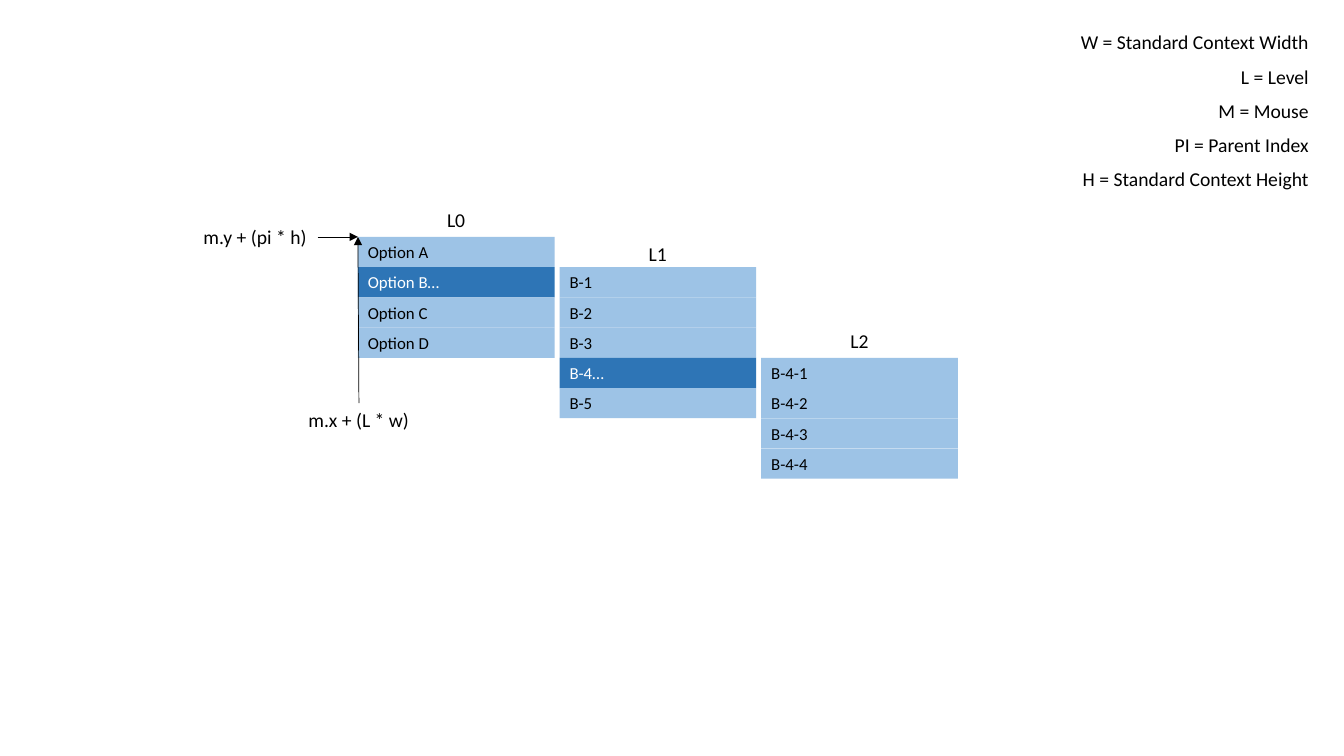
from lxml.etree import SubElement
from pptx import Presentation
from pptx.dml.color import RGBColor
from pptx.enum.shapes import MSO_CONNECTOR as Connector, MSO_SHAPE as Preset
from pptx.enum.text import MSO_ANCHOR as Anchor, MSO_AUTO_SIZE as AutoSize, PP_ALIGN as Align
from pptx.oxml.ns import qn
from pptx.util import Inches, Pt

COLORS = {"option": "9DC3E6", "selected": "2E75B6", "dark": "000000", "light": "FFFFFF"}
FONT = "Calibri"

# Menu grid, in inches
MENU_LEFT, MENU_TOP = 3.55, 2.35
ITEM_WIDTH, ITEM_HEIGHT = 1.95, 0.3
COLUMN_STEP = 2.0
LABEL_HEIGHT = 0.34

# Level name, first row, lift of the name above the menu, selected item, items
MENUS = [
    ("L0", 0, 0.34, 1, ["Option A", "Option B…", "Option C", "Option D"]),
    ("L1", 1, 0.3, 3, ["B-1", "B-2", "B-3", "B-4…", "B-5"]),
    ("L2", 4, 0.34, None, ["B-4-1", "B-4-2", "B-4-3", "B-4-4"]),
]

# Legend entry and width of its box
LEGEND = [
    ("W = Standard Context Width", 2.49),
    ("L = Level", 0.88),
    ("M = Mouse", 1.11),
    ("PI = Parent Index", 1.54),
    ("H = Standard Context Height", 2.47),
]


def rgb(name):
    return RGBColor.from_string(COLORS[name])


def write(shape, text, size, color="dark", align=Align.LEFT):
    shape.text_frame.text = text
    paragraph = shape.text_frame.paragraphs[0]
    paragraph.alignment = align
    font = paragraph.runs[0].font
    font.name, font.size = FONT, Pt(size)
    font.color.rgb = rgb(color)


def add_label(slide, text, left, top, width, align=Align.LEFT):
    box = slide.shapes.add_textbox(*map(Inches, (left, top, width, LABEL_HEIGHT)))
    box.text_frame.word_wrap = False
    box.text_frame.auto_size = AutoSize.SHAPE_TO_FIT_TEXT
    write(box, text, 14, align=align)


def add_arrow(slide, start, end):
    arrow = slide.shapes.add_connector(Connector.STRAIGHT, *map(Inches, (*start, *end)))
    arrow.line.color.rgb = rgb("dark")
    arrow.line.width = Pt(0.5)
    properties = arrow.element.spPr
    SubElement(properties.find(qn("a:ln")), qn("a:tailEnd"), type="triangle")
    SubElement(properties, qn("a:effectLst"))


def add_menu(slide, left, top, name, lift, selected, items):
    # Menu items
    for row, text in enumerate(items):
        item = slide.shapes.add_shape(
            Preset.RECTANGLE,
            *map(Inches, (left, top + row * ITEM_HEIGHT, ITEM_WIDTH, ITEM_HEIGHT)))
        item.shadow.inherit = False
        item.fill.solid()
        item.fill.fore_color.rgb = rgb("selected" if row == selected else "option")
        item.line.fill.background()
        item.text_frame.word_wrap = True
        item.text_frame.vertical_anchor = Anchor.MIDDLE
        write(item, text, 12, "light" if row == selected else "dark")
    # Level name, centred above the menu
    width = 0.38
    add_label(slide, name, left + (ITEM_WIDTH - width) / 2, top - lift, width)


def add_origin(slide, left, top):
    """Mark the menu's corner with its x and y formulas."""
    add_label(slide, "m.x + (L * w)", left - 0.59, top + 1.65, 1.21)
    add_arrow(slide, (left + 0.01, top + 1.65), (left, top))
    add_label(slide, "m.y + (pi * h)", left - 1.63, top - 0.17, 1.23)
    add_arrow(slide, (left - 0.4, top), (left, top))


def add_legend(slide, right, top, step):
    for row, (text, width) in enumerate(LEGEND):
        add_label(slide, text, right - width, top + row * step, width, Align.RIGHT)


presentation = Presentation()
presentation.slide_width, presentation.slide_height = Inches(13.33), Inches(7.5)
slide = presentation.slides.add_slide(presentation.slide_layouts[6])

for column, (name, first_row, lift, selected, items) in enumerate(MENUS):
    add_menu(slide, MENU_LEFT + column * COLUMN_STEP, MENU_TOP + first_row * ITEM_HEIGHT,
             name, lift, selected, items)
add_origin(slide, MENU_LEFT, MENU_TOP)
add_legend(slide, right=13.08, top=0.25, step=0.34)

presentation.save("out.pptx")
